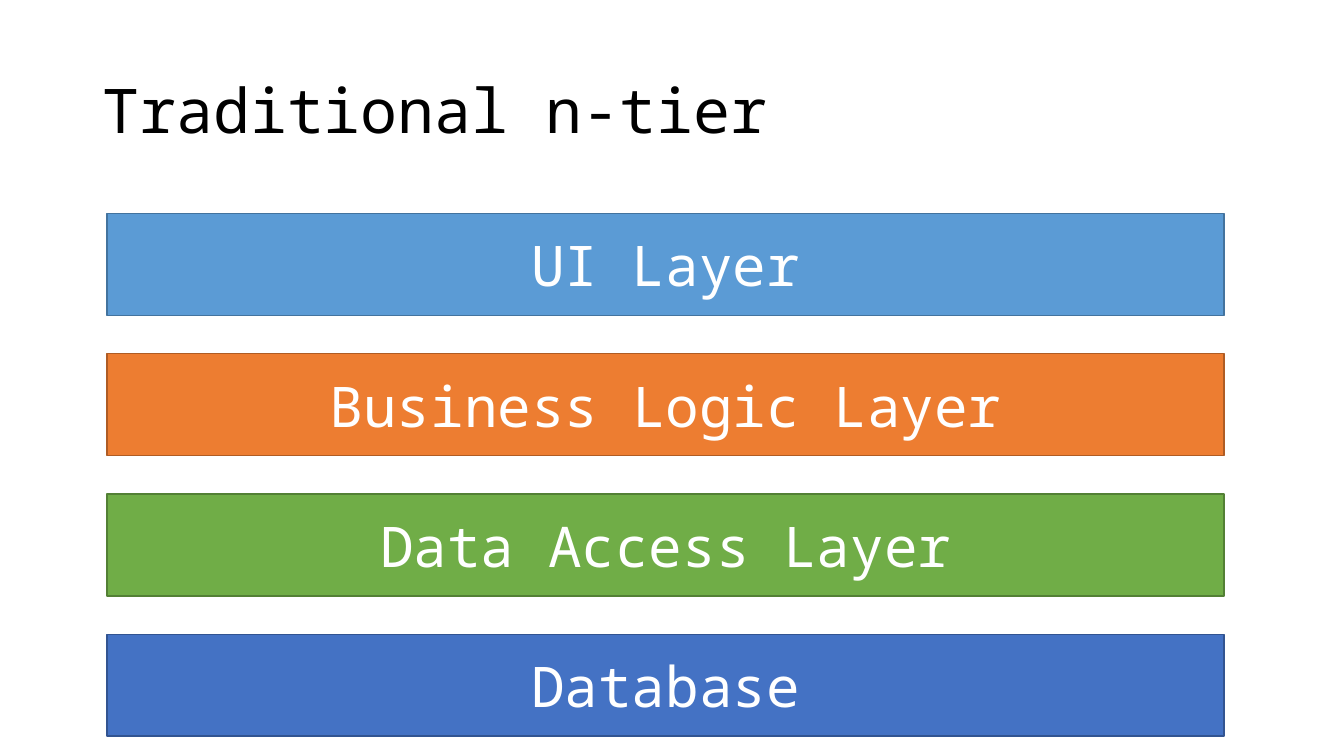
from dataclasses import dataclass

from pptx import Presentation
from pptx import util as u
from pptx.dml.color import RGBColor
from pptx.enum import shapes, text


@dataclass(frozen=True)
class Theme:
    font: str = "Noto Sans Mono"
    title_size: int = 44
    layer_size: int = 40
    ink: str = "000000"
    paper: str = "FFFFFF"
    # Fill and outline of each layer, top to bottom
    layers: tuple = (
        ("5B9BD5", "43739E"),
        ("ED7D31", "AF5C24"),
        ("70AD47", "538035"),
        ("4472C4", "325491"),
    )


T = Theme()
LAYERS = ("UI Layer", "Business Logic Layer", "Data Access Layer", "Database")


def rgb(value):
    return RGBColor.from_string(value)


def add_text(sp, words, size, color, align):
    tf = sp.text_frame
    tf.word_wrap = True
    tf.vertical_anchor = text.MSO_ANCHOR.MIDDLE
    p = tf.paragraphs[0]
    p.alignment = align
    r = p.add_run()
    r.text = words
    r.font.name = T.font
    r.font.size = u.Pt(size)
    r.font.color.rgb = rgb(color)
    return p


def title(s, box, words):
    sp = s.shapes.add_textbox(*map(u.Pt, box))
    p = add_text(sp, words, T.title_size, T.ink, text.PP_ALIGN.LEFT)
    p.line_spacing = 0.9


def layer_stack(s, box, names, gap):
    # Equal bars fill the box, with the same gap between them
    x, y, w, h = box
    bar_h = (h - gap * (len(names) - 1)) / len(names)
    for i, (name, (fill, line)) in enumerate(zip(names, T.layers)):
        top = y + i * (bar_h + gap)
        sp = s.shapes.add_shape(shapes.MSO_SHAPE.RECTANGLE,
                                *map(u.Pt, (x, top, w, bar_h)))
        sp.shadow.inherit = False
        sp.fill.solid()
        sp.fill.fore_color.rgb = rgb(fill)
        sp.line.color.rgb = rgb(line)
        sp.line.width = u.Pt(1)
        add_text(sp, name, T.layer_size, T.paper, text.PP_ALIGN.CENTER)


prs = Presentation()
prs.slide_width, prs.slide_height = u.Pt(960), u.Pt(540)
s = prs.slides.add_slide(prs.slide_layouts[6])

# Background
s.background.fill.solid()
s.background.fill.fore_color.rgb = rgb(T.paper)

# Heading
title(s, (66, 28.75, 828, 104.4), "Traditional n-tier")

# Tiers
layer_stack(s, (76.4, 152.6, 798, 373.2), LAYERS, gap=27.4)

prs.save("out.pptx")
